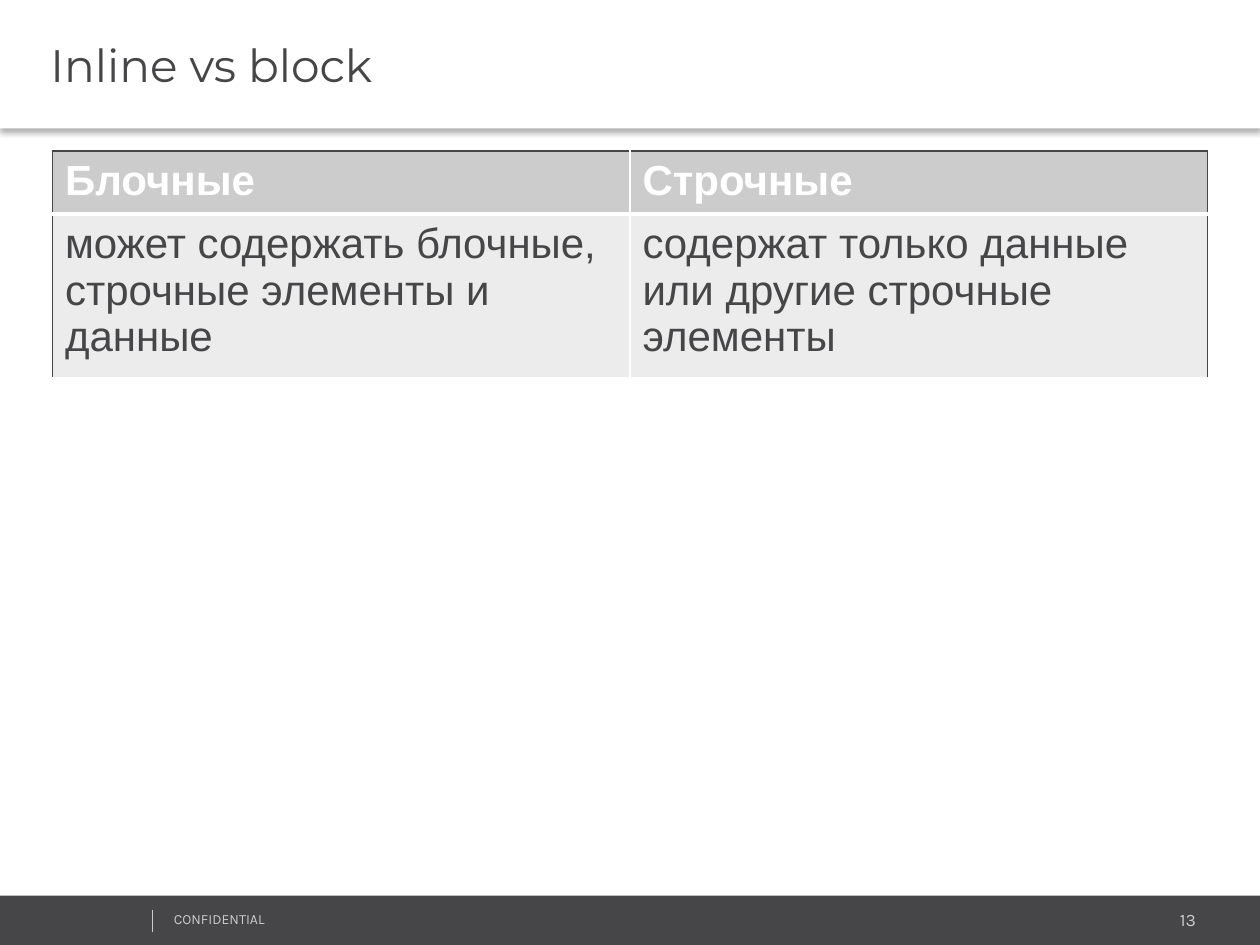
from pptx import Presentation
from pptx.dml.color import RGBColor
from pptx.enum.shapes import MSO_CONNECTOR, MSO_SHAPE
from pptx.enum.text import MSO_ANCHOR as Anchor, PP_ALIGN as Align
from pptx.oxml import parse_xml
from pptx.oxml.ns import nsdecls
from pptx.util import Pt

COLORS = {"dark": "464547", "light": "CCCCCC", "pale": "ECECEC", "white": "FFFFFF", "black": "000000"}


def rgb(name):
    return RGBColor.from_string(COLORS[name])


def write(frame, text, font="Arial", size=24, color="dark", bold=False,
          align=Align.LEFT, anchor=Anchor.TOP, left=7.2):
    frame.word_wrap = True
    frame.vertical_anchor = anchor
    frame.margin_left, frame.margin_right = Pt(left), Pt(7.2)
    frame.margin_top = frame.margin_bottom = Pt(3.6)
    para = frame.paragraphs[0]
    para.alignment = align
    span = para.add_run()
    span.text = text
    span.font.name, span.font.size, span.font.bold = font, Pt(size), bold
    span.font.color.rgb = rgb(color)


class Page:
    """Draw styled elements on one slide, measured in points."""

    def __init__(self, deck):
        self.shapes = deck.slides.add_slide(deck.slide_layouts[6]).shapes

    def bar(self, x, y, width, height, fill):
        box = self.shapes.add_shape(MSO_SHAPE.RECTANGLE, Pt(x), Pt(y), Pt(width), Pt(height))
        box.shadow.inherit = False
        box.fill.solid()
        box.fill.fore_color.rgb = rgb(fill)
        box.line.fill.background()
        return box

    def drop_shadow(self, box, blur, distance, alpha):
        effects = box._element.spPr.find("{*}effectLst")
        effects.append(parse_xml(
            f'<a:outerShdw {nsdecls("a")} blurRad="{Pt(blur)}" dist="{Pt(distance)}" dir="5400000" '
            f'algn="t" rotWithShape="0"><a:srgbClr val="{COLORS["black"]}">'
            f'<a:alpha val="{alpha * 1000}"/></a:srgbClr></a:outerShdw>'))

    def label(self, x, y, width, height, text, **style):
        box = self.shapes.add_textbox(Pt(x), Pt(y), Pt(width), Pt(height))
        write(box.text_frame, text, **style)

    def rule(self, x, top, bottom, color, weight=0.75):
        line = self.shapes.add_connector(MSO_CONNECTOR.STRAIGHT, Pt(x), Pt(top), Pt(x), Pt(bottom))
        line.line.color.rgb = rgb(color)
        line.line.width = Pt(weight)
        line._element.spPr.append(parse_xml(f'<a:effectLst {nsdecls("a")}/>'))

    def border(self, cell, edges):
        props = cell._tc.get_or_add_tcPr()
        for index, (side, (color, weight)) in enumerate(edges.items()):
            props.insert(index, parse_xml(
                f'<a:ln{side} {nsdecls("a")} w="{Pt(weight)}"><a:solidFill>'
                f'<a:srgbClr val="{COLORS[color]}"/></a:solidFill></a:ln{side}>'))

    def table(self, x, y, column_width, row_height, rows):
        count = len(rows[0])
        table = self.shapes.add_table(len(rows), count, Pt(x), Pt(y), Pt(column_width * count),
                                      Pt(row_height * len(rows))).table
        for column in table.columns:
            column.width = Pt(column_width)
        for r, row in enumerate(rows):
            header = r == 0
            for c, text in enumerate(row):
                cell = table.cell(r, c)
                write(cell.text_frame, text, color="white" if header else "dark", bold=header)
                cell.fill.solid()
                cell.fill.fore_color.rgb = rgb("light" if header else "pale")
                self.border(cell, {
                    "L": ("dark" if c == 0 else "white", 1),
                    "R": ("dark" if c == count - 1 else "white", 1),
                    "T": ("dark", 1) if header else ("white", 3 if r == 1 else 1),
                    "B": ("white", 3 if header else 1),
                })


deck = Presentation()
deck.slide_width, deck.slide_height = Pt(720), Pt(540)
page = Page(deck)

page.bar(0, 511.8, 720, 28.5, "dark")
page.label(573, 516.2, 117.5, 19.5, "13", font="Karla", size=10, color="light", align=Align.RIGHT)
page.label(92.2, 517, 182, 17.3, "CONFIDENTIAL", font="Karla", size=8, color="light")
page.rule(87.1, 519.8, 532.8, "light")

title = page.bar(0, 0, 720, 73.4, "white")
page.drop_shadow(title, blur=3.1, distance=2, alpha=30)
write(title.text_frame, "Inline vs block", font="Montserrat", size=26, anchor=Anchor.MIDDLE, left=28.8)

page.table(30, 86.2, 330, 29.2, [
    ["Блочные", "Строчные"],
    ["может содержать блочные, строчные элементы и данные",
     "содержат только данные или другие строчные элементы"],
])

deck.save("out.pptx")
